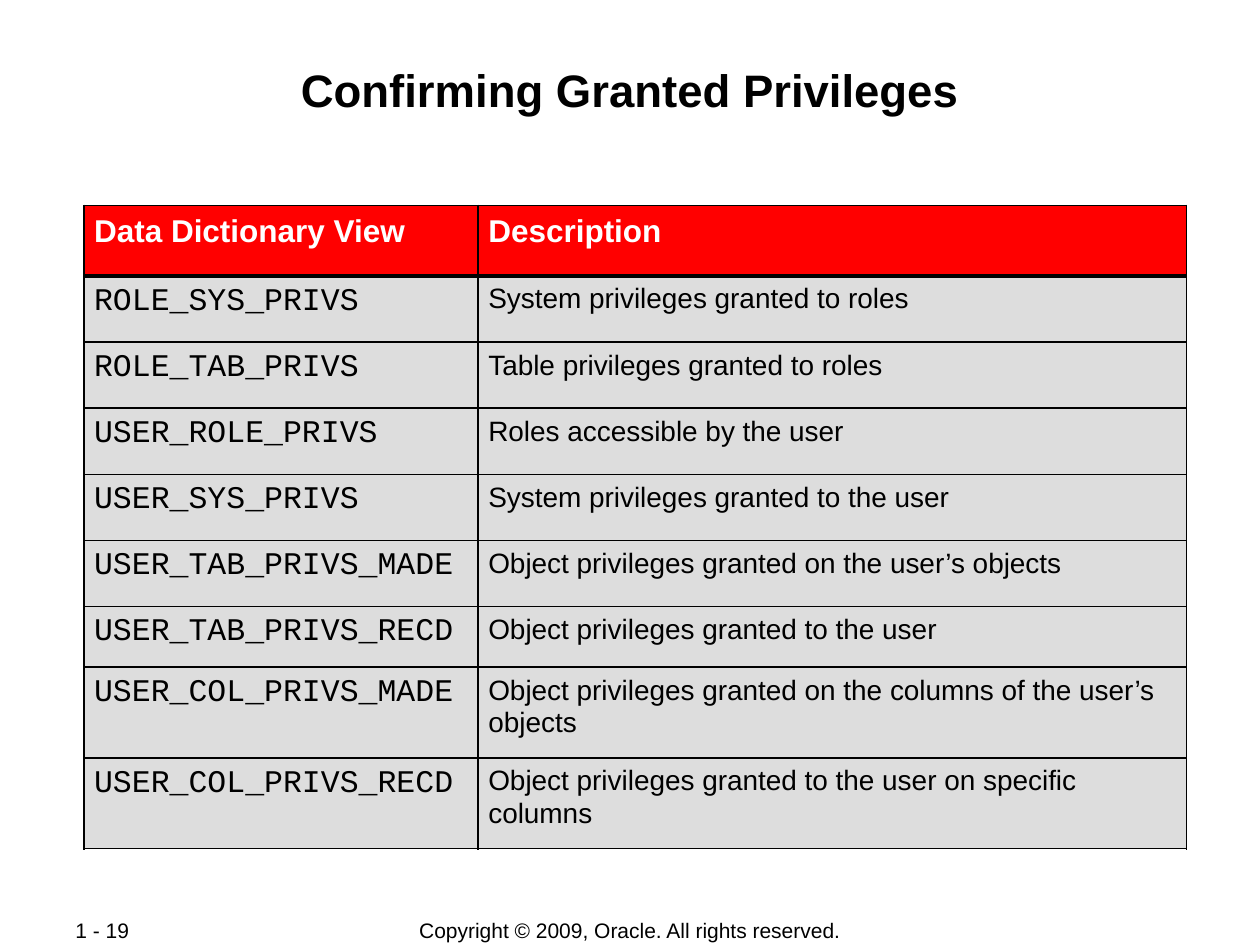
from lxml.etree import SubElement
from pptx import Presentation
from pptx.dml.color import RGBColor
from pptx.enum.text import MSO_ANCHOR as Anchor, PP_ALIGN as Align
from pptx.oxml.ns import qn
from pptx.util import Pt

BLACK = RGBColor(0x00, 0x00, 0x00)
WHITE = RGBColor(0xFF, 0xFF, 0xFF)
RED = RGBColor(0xFF, 0x00, 0x00)
GREY = RGBColor(0xDD, 0xDD, 0xDD)

THIN, THICK = 1.08, 2.21
COLUMN_WIDTHS = (225.3, 404.7)
ROW_HEIGHTS = (40.3, *[37.8] * 5, 34.6, 51.9, 51.9)
HEADINGS = ("Data Dictionary View", "Description")
VIEWS = (
    ("ROLE_SYS_PRIVS", "System privileges granted to roles"),
    ("ROLE_TAB_PRIVS", "Table privileges granted to roles"),
    ("USER_ROLE_PRIVS", "Roles accessible by the user"),
    ("USER_SYS_PRIVS", "System privileges granted to the user"),
    ("USER_TAB_PRIVS_MADE", "Object privileges granted on the user’s objects"),
    ("USER_TAB_PRIVS_RECD", "Object privileges granted to the user"),
    ("USER_COL_PRIVS_MADE", "Object privileges granted on the columns of the user’s objects"),
    ("USER_COL_PRIVS_RECD", "Object privileges granted to the user on specific columns"),
)


def write_text(frame, text, size=12, font="Arial", color=BLACK, bold=False,
               align=Align.LEFT, spacing=1.0):
    """Write one formatted paragraph into a text frame."""
    paragraph = frame.paragraphs[0]
    paragraph.alignment = align
    paragraph.line_spacing = spacing
    run = paragraph.add_run()
    run.text = text
    run.font.name = font
    run.font.size = Pt(size)
    run.font.bold = bold
    run.font.color.rgb = color


def add_label(slide, box, text, margins, anchor=Anchor.TOP, wrap=True, **style):
    """Add a text box at (left, top, width, height)."""
    frame = slide.shapes.add_textbox(*map(Pt, box)).text_frame
    frame.word_wrap = wrap
    frame.vertical_anchor = anchor
    frame.margin_left = frame.margin_right = Pt(margins[0])
    frame.margin_top = frame.margin_bottom = Pt(margins[1])
    write_text(frame, text, **style)


def add_title(slide, box):
    """Place the slide title."""
    add_label(slide, box, "Confirming Granted Privileges", (0.9, 0.9),
              size=26, bold=True, align=Align.CENTER)


def set_borders(cell, **widths):
    """Draw black borders of the given widths around a cell."""
    properties = cell._tc.get_or_add_tcPr()
    for index, (side, width) in enumerate(widths.items()):
        line = SubElement(properties, qn(f"a:ln{side}"), w=str(Pt(width)))
        fill = SubElement(line, qn("a:solidFill"))
        SubElement(fill, qn("a:srgbClr"), val=str(BLACK))
        properties.insert(index, line)


def add_views_table(slide, box):
    """Place the table of data dictionary views."""
    rows = (HEADINGS, *VIEWS)
    table = slide.shapes.add_table(len(rows), len(HEADINGS), *map(Pt, box)).table
    for column, width in zip(table.columns, COLUMN_WIDTHS):
        column.width = Pt(width)
    for row, height in zip(table.rows, ROW_HEIGHTS):
        row.height = Pt(height)

    heading_style = dict(size=18, color=WHITE, bold=True)
    view_styles = (dict(size=18, font="Courier New"), dict(size=16))
    for r, texts in enumerate(rows):
        for c, text in enumerate(texts):
            cell = table.cell(r, c)
            cell.margin_left = cell.margin_right = Pt(5.76)
            cell.margin_top = cell.margin_bottom = Pt(3.6)
            cell.fill.solid()
            cell.fill.fore_color.rgb = GREY if r else RED
            style = view_styles[c] if r else heading_style
            write_text(cell.text_frame, text, spacing=1.05, **style)
            set_borders(cell, L=THIN, R=THIN, T=THICK if r == 1 else THIN,
                        B=THIN if r else THICK)


def add_footer(slide, box):
    """Place the page number and the copyright line."""
    left, top, width, height = box
    style = dict(margins=(7.2, 3.6), anchor=Anchor.MIDDLE, wrap=False)
    add_label(slide, (left, top, 76.3, height), "1 - 19", **style)
    add_label(slide, (left + (width - 323.3) / 2, top, 323.3, height),
              "Copyright © 2009, Oracle. All rights reserved.",
              align=Align.CENTER, **style)


def main():
    """Build and save the slide."""
    deck = Presentation()
    deck.slide_width, deck.slide_height = Pt(720), Pt(540)
    slide = deck.slides.add_slide(deck.slide_layouts[6])
    add_footer(slide, (36, 524.2, 648, 15))
    add_title(slide, (48, 34.6, 624, 69))
    add_views_table(slide, (48, 117.4, sum(COLUMN_WIDTHS), sum(ROW_HEIGHTS)))
    deck.save("out.pptx")


if __name__ == "__main__":
    main()
